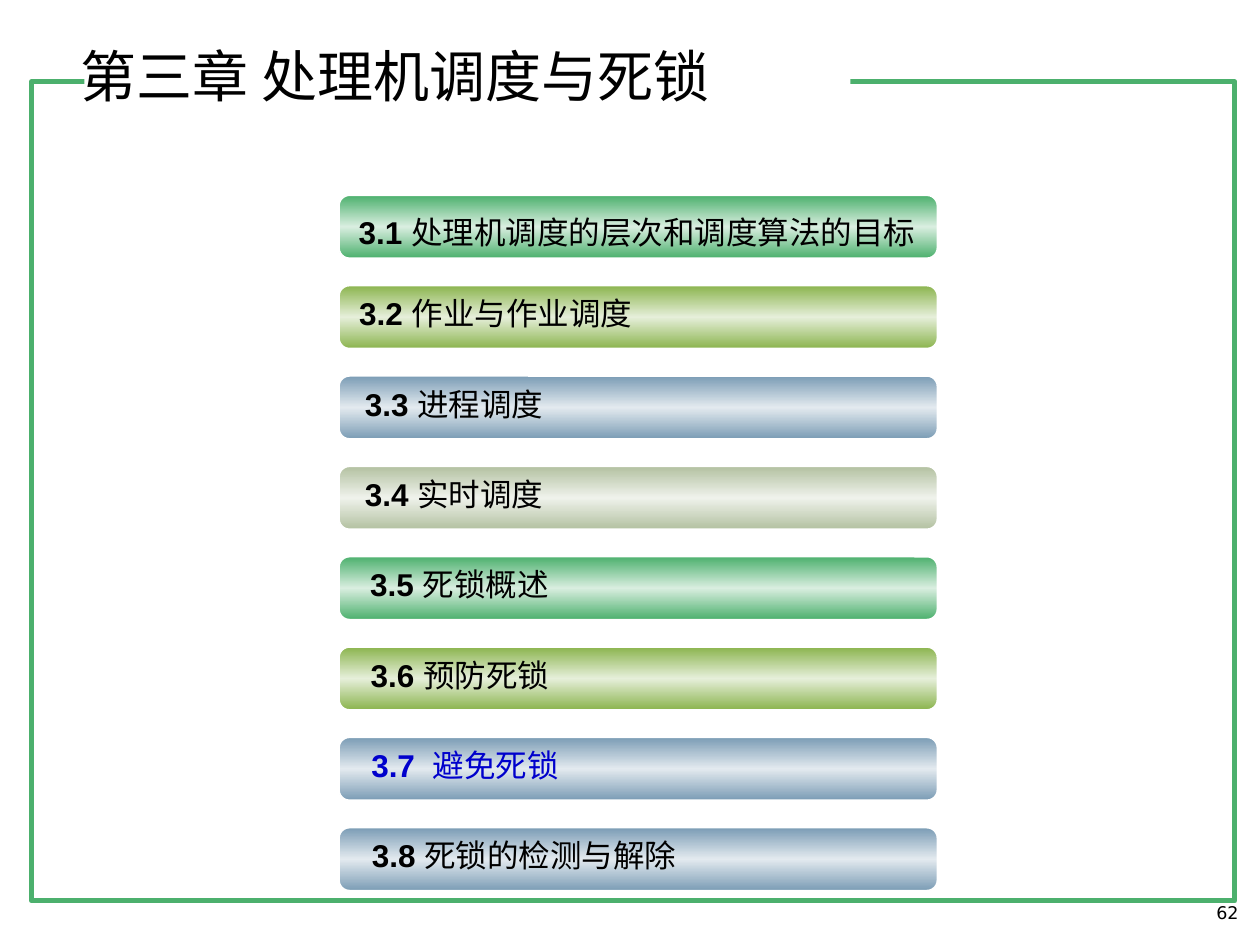
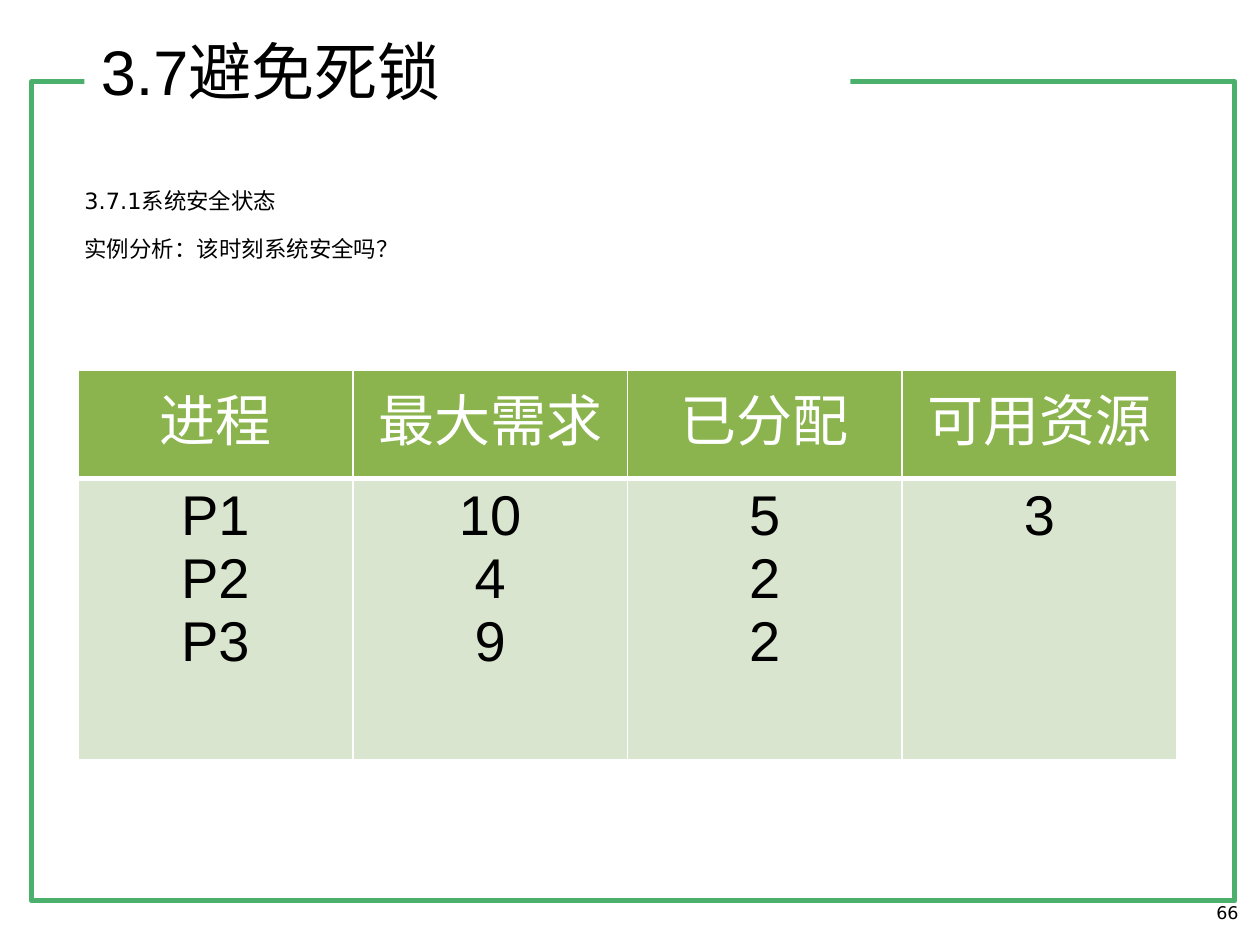
from copy import deepcopy

from lxml import etree
from pptx import Presentation
from pptx.dml.color import RGBColor
from pptx.enum import shapes, text
from pptx.oxml import ns
from pptx.util import Inches, Pt

# Colours and fonts
GREEN = RGBColor(0x4C, 0xB0, 0x6D)
LIME = RGBColor(0x8B, 0xB4, 0x4E)
BLUE = RGBColor(0x7B, 0x9C, 0xB5)
SAGE = RGBColor(0xB3, 0xC1, 0xA1)
PALE = {GREEN: RGBColor(0xD9, 0xEE, 0xE0), LIME: RGBColor(0xE6, 0xEF, 0xDA),
        BLUE: RGBColor(0xE3, 0xEA, 0xEF), SAGE: RGBColor(0xEF, 0xF2, 0xEB)}
TABLE_BODY = RGBColor(0xDA, 0xE5, 0xD0)
HIGHLIGHT = RGBColor(0x00, 0x00, 0xCC)
BLACK = RGBColor(0, 0, 0)
WHITE = RGBColor(0xFF, 0xFF, 0xFF)
LATIN, SANS, CJK = "Arial", "DejaVu Sans", "Noto Sans CJK SC"

LEFT, CENTER, RIGHT = text.PP_ALIGN.LEFT, text.PP_ALIGN.CENTER, text.PP_ALIGN.RIGHT
TOP, MIDDLE = text.MSO_ANCHOR.TOP, text.MSO_ANCHOR.MIDDLE

# Content: number, name, bar colour, text colour, label left, width, alignment
CHAPTER = "第三章 处理机调度与死锁"
SECTIONS = [
    ("3.1 ", "处理机调度的层次和调度算法的目标", GREEN, BLACK, 2.69, 4.73, CENTER),
    ("3.2 ", "作业与作业调度", LIME, BLACK, 2.8, 3.75, LEFT),
    ("3.3 ", "进程调度", BLUE, BLACK, 2.24, 2.73, CENTER),
    ("3.4 ", "实时调度", SAGE, BLACK, 2.4, 2.41, CENTER),
    ("3.5 ", "死锁概述", GREEN, BLACK, 1.77, 3.75, CENTER),
    ("3.6 ", "预防死锁", LIME, BLACK, 2.09, 3.12, CENTER),
    ("3.7  ", "避免死锁", BLUE, HIGHLIGHT, 2.09, 3.2, CENTER),
    ("3.8 ", "死锁的检测与解除", BLUE, BLACK, 2.56, 3.2, CENTER),
]
SECTION_TITLE = [("3.7", LATIN), ("避免死锁", CJK)]
SUBHEADS = [[("3.7.1", SANS), ("系统安全状态", CJK)],
            [("实例分析：该时刻系统安全吗？", CJK)]]
RESOURCES = {
    "进程": ["P1", "P2", "P3"],
    "最大需求": ["10", "4", "9"],
    "已分配": ["5", "2", "2"],
    "可用资源": ["3"],
}
BAR_TOP, BAR_PITCH = 1.55, 0.717


def write(para, spans, size, color=BLACK, align=LEFT):
    """Fill a paragraph with (text, font) spans."""
    para.alignment = align
    para.font.size = Pt(size)
    para.font.color.rgb = color
    for words, font in spans:
        span = para.add_run()
        span.text = words
        span.font.name = font
        span.font.size = Pt(size)
        span.font.color.rgb = color
        etree.SubElement(span.font._element, ns.qn("a:ea"), typeface=font)
    return para


def place(shape, left, top, width, height, anchor=TOP):
    """Position a text shape and give it the common margins."""
    shape.left, shape.top = Inches(left), Inches(top)
    shape.width, shape.height = Inches(width), Inches(height)
    frame = shape.text_frame
    frame.word_wrap = True
    frame.auto_size = text.MSO_AUTO_SIZE.NONE
    frame.vertical_anchor = anchor
    frame.margin_left = frame.margin_right = Inches(0.05)
    frame.margin_top = frame.margin_bottom = Inches(0.05)
    return frame


def add_label(page, left, top, width, height):
    box = page.shapes.add_textbox(0, 0, 0, 0)
    return place(box, left, top, width, height).paragraphs[0]


def add_shape(page, kind, left, top, width, height):
    shape = page.shapes.add_shape(kind, Inches(left), Inches(top), Inches(width), Inches(height))
    shape.shadow.inherit = False
    return shape


def add_page(deck, layout, number):
    page = deck.slides.add_slide(deck.slide_layouts[layout])
    write(add_label(page, 7.55, 7.11, 2.33, 0.27), [(number, SANS)], 10, align=RIGHT)
    return page


def add_master_frame(deck, page):
    """Draw the green frame and the gap for the title, then move both to the master."""
    rect = shapes.MSO_SHAPE.RECTANGLE
    border = add_shape(page, rect, 0.25, 0.65, 9.55, 6.5)
    border.fill.background()
    border.line.color.rgb = GREEN
    border.line.width = Pt(3)
    gap = add_shape(page, rect, 0.67, 0.21, 6.08, 1.19)
    gap.fill.solid()
    gap.fill.fore_color.rgb = WHITE
    gap.line.fill.background()
    for index, shape in enumerate((border, gap)):
        shape._element.nvSpPr.cNvPr.set("id", str(101 + index))
        deck.slide_master.shapes._spTree.insert(2 + index, shape._element)


def add_bar(page, top, color):
    """Rounded bar, dark at the edges and pale in the middle."""
    bar = add_shape(page, shapes.MSO_SHAPE.ROUNDED_RECTANGLE, 2.69, top, 4.75, 0.5)
    bar.line.color.rgb = WHITE
    bar.line.width = Pt(1)
    bar.fill.gradient()
    bar.fill.gradient_angle = 90
    stops = bar._element.spPr.find(ns.qn("a:gradFill")).find(ns.qn("a:gsLst"))
    stops.insert(1, deepcopy(stops[0]))
    for stop, place_at, shade in zip(bar.fill.gradient_stops, (0, 0.5, 1),
                                     (color, PALE[color], color)):
        stop.position = place_at
        stop.color.rgb = shade


def set_borders(cell, widths):
    """White cell borders; widths in points for left, right, top, bottom."""
    props = cell._tc.get_or_add_tcPr()
    for index, (side, width) in enumerate(zip("LRTB", widths)):
        line = etree.Element(ns.qn("a:ln" + side), w=str(Pt(width)))
        fill = etree.SubElement(line, ns.qn("a:solidFill"))
        etree.SubElement(fill, ns.qn("a:srgbClr"), val=str(WHITE))
        props.insert(index, line)


def fill_cell(cell, lines, font, color, fill, borders):
    cell.margin_left = cell.margin_right = Inches(0.05)
    cell.margin_top = cell.margin_bottom = Inches(0.05)
    cell.fill.solid()
    cell.fill.fore_color.rgb = fill
    set_borders(cell, borders)
    frame = cell.text_frame
    for index, words in enumerate(lines):
        para = frame.add_paragraph() if index else frame.paragraphs[0]
        write(para, [(words, font)], 32, color, CENTER)


def build_contents(page):
    title = place(page.shapes.title, 0.59, 0.21, 5.51, 0.77, MIDDLE)
    write(title.paragraphs[0], [(CHAPTER, CJK)], 32)
    for index, (number, name, fill, color, left, width, align) in enumerate(SECTIONS):
        top = BAR_TOP + index * BAR_PITCH
        add_bar(page, top, fill)
        label = add_label(page, left, top + (0.02 if index else 0.09), width, 0.45)
        write(label, [(number, LATIN), (name, CJK)], 18, color, align)
        label.runs[0].font.bold = True


def build_example(page):
    title = place(page.shapes.title, 0.75, 0.21, 5.51, 0.79)
    write(title.paragraphs[0], SECTION_TITLE, 36)

    # Subheadings without bullets
    body = place(page.placeholders[1], 0.62, 1.4, 7.52, 0.77, MIDDLE)
    for index, spans in enumerate(SUBHEADS):
        para = body.add_paragraph() if index else body.paragraphs[0]
        write(para, spans, 12.8)
        para.space_before = Pt(12 if index else 0)
        props = para._p.get_or_add_pPr()
        props.set("marL", "0")
        props.set("indent", "0")
        bullet = etree.Element(ns.qn("a:buNone"))
        props.find(ns.qn("a:defRPr")).addprevious(bullet)

    # Resource table
    grid = page.shapes.add_table(2, len(RESOURCES), Inches(0.62), Inches(2.94),
                                 Inches(8.72), Inches(3.09)).table
    grid.rows[0].height, grid.rows[1].height = Inches(0.86), Inches(2.23)
    for column, (heading, values) in enumerate(RESOURCES.items()):
        fill_cell(grid.cell(0, column), [heading], CJK, WHITE, LIME, (1, 1, 1, 3))
        fill_cell(grid.cell(1, column), values, LATIN, BLACK, TABLE_BODY, (1, 1, 3, 1))


def main():
    deck = Presentation()
    deck.slide_width, deck.slide_height = Inches(10), Inches(7.5)
    contents = add_page(deck, 5, "62")
    add_master_frame(deck, contents)
    build_contents(contents)
    build_example(add_page(deck, 1, "66"))
    deck.save("out.pptx")


if __name__ == "__main__":
    main()
